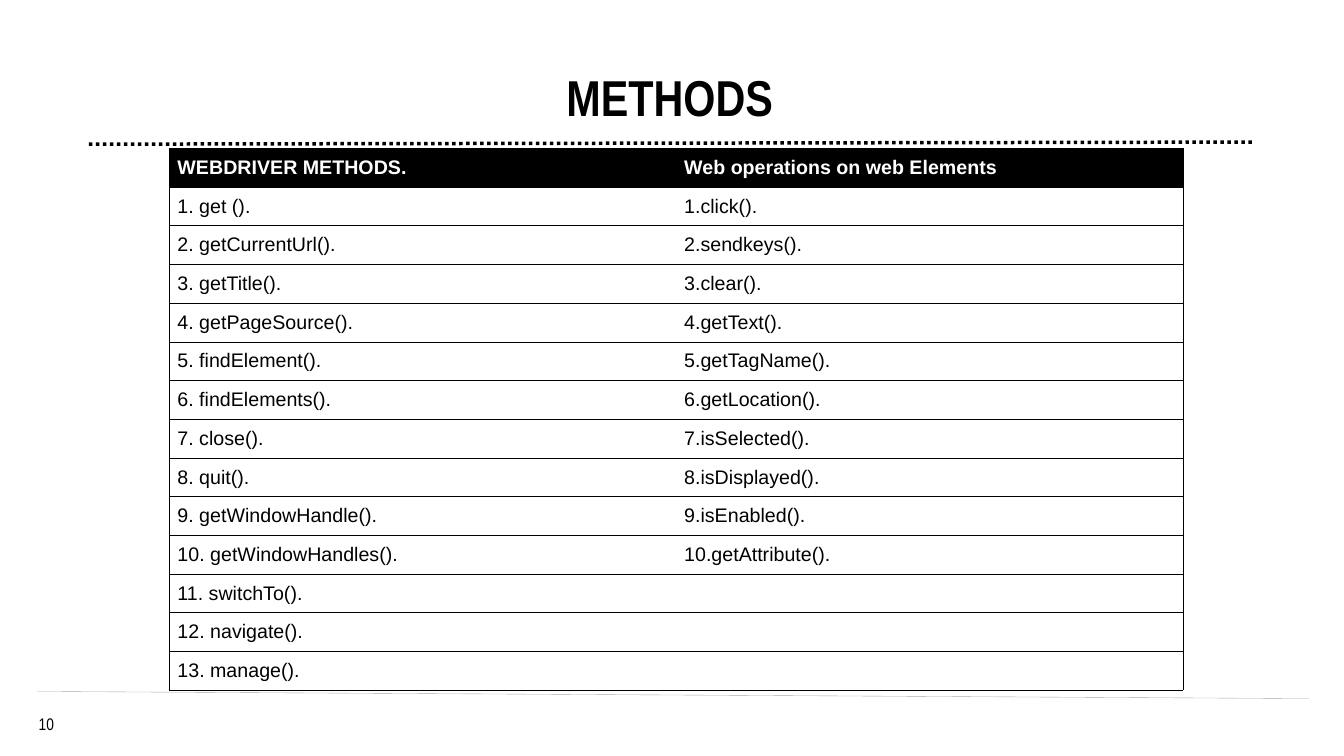
import itertools

import lxml.etree
import pptx
import pptx.dml.color
import pptx.enum.dml
import pptx.enum.shapes
import pptx.enum.text
import pptx.oxml.ns
import pptx.util

Pt = pptx.util.Pt
qn = pptx.oxml.ns.qn
ALIGN = pptx.enum.text.PP_ALIGN
ANCHOR = pptx.enum.text.MSO_ANCHOR
DASH = pptx.enum.dml.MSO_LINE
BLACK = pptx.dml.color.RGBColor(0, 0, 0)
WHITE = pptx.dml.color.RGBColor(255, 255, 255)
GRAY = pptx.dml.color.RGBColor(0xA6, 0xAA, 0xA9)

DRIVER_METHODS = [
    "get ()", "getCurrentUrl()", "getTitle()", "getPageSource()", "findElement()",
    "findElements()", "close()", "quit()", "getWindowHandle()", "getWindowHandles()",
    "switchTo()", "navigate()", "manage()",
]
ELEMENT_METHODS = [
    "click()", "sendkeys()", "clear()", "getText()", "getTagName()", "getLocation()",
    "isSelected()", "isDisplayed()", "isEnabled()", "getAttribute()",
]


def write(frame, text, *, size, font="Arial", color=BLACK, bold=False,
          align=ALIGN.LEFT, spacing=None):
    para = frame.paragraphs[0]
    para.alignment = align
    para.line_spacing = spacing
    span = para.add_run()
    span.text = text
    span.font.size = Pt(size)
    span.font.name = font
    span.font.bold = bold
    span.font.color.rgb = color


def set_border(cell, side, visible):
    """Draw one cell side (L, R, T or B) as a thin black line, or leave it bare."""
    properties = cell._tc.get_or_add_tcPr()
    line = lxml.etree.SubElement(properties, qn(f"a:ln{side}"), w=str(Pt(0.5)))
    if visible:
        fill = lxml.etree.SubElement(line, qn("a:solidFill"))
        lxml.etree.SubElement(fill, qn("a:srgbClr"), val=str(BLACK))
    else:
        lxml.etree.SubElement(line, qn("a:noFill"))


deck = pptx.Presentation()
deck.slide_width, deck.slide_height = Pt(960), Pt(540)
page = deck.slides.add_slide(deck.slide_layouts[6])

# Rules under the title and above the footer
rules = [
    ((26.6, 493.9, 934.6, 499), GRAY, 0.25, DASH.SOLID),
    ((894.2, 101.5, 63.4, 103), BLACK, 2.5, DASH.ROUND_DOT),
]
for ends, color, width, dash in rules:
    rule = page.shapes.add_connector(
        pptx.enum.shapes.MSO_CONNECTOR.STRAIGHT, *map(Pt, ends))
    rule.line.color.rgb = color
    rule.line.width = Pt(width)
    rule.line.dash_style = dash
    lxml.etree.SubElement(rule._element.spPr, qn("a:effectLst"))

# Title and page number
labels = [
    ((95, 12.2, 774, 80.6), (0, 3.6, 7.2, 3.6), ANCHOR.BOTTOM, "METHODS",
     dict(size=36, bold=True, spacing=0.7)),
    ((15.8, 509.8, 34.6, 14.4), (0, 0, 0, 0), ANCHOR.TOP, "10", dict(size=12)),
]
for place, margins, anchor, text, style in labels:
    frame = page.shapes.add_textbox(*map(Pt, place)).text_frame
    frame.word_wrap = True
    frame.vertical_anchor = anchor
    (frame.margin_left, frame.margin_top,
     frame.margin_right, frame.margin_bottom) = map(Pt, margins)
    write(frame, text, font="Arial Narrow", align=ALIGN.CENTER, **style)

# Table of methods
rows = [("WEBDRIVER METHODS.", "Web operations on web Elements")]
pairs = itertools.zip_longest(DRIVER_METHODS, ELEMENT_METHODS)
for number, (driver, element) in enumerate(pairs, 1):
    rows.append((f"{number}. {driver}.", f"{number}.{element}." if element else ""))

ROW_HEIGHT = 27.65
table = page.shapes.add_table(
    len(rows), 2, Pt(121), Pt(106), Pt(724), Pt(ROW_HEIGHT * len(rows))).table
table.horz_banding = False
for r, texts in enumerate(rows):
    table.rows[r].height = Pt(ROW_HEIGHT)
    header = r == 0
    for c, text in enumerate(texts):
        cell = table.cell(r, c)
        for side, visible in zip("LRTB", (c == 0, c == 1, True, True)):
            set_border(cell, side, visible)
        cell.fill.solid()
        cell.fill.fore_color.rgb = BLACK if header else WHITE
        cell.margin_left = cell.margin_right = Pt(5.76)
        cell.margin_top = cell.margin_bottom = Pt(3)
        cell.vertical_anchor = ANCHOR.MIDDLE
        if text:
            write(cell.text_frame, text, size=14, bold=header,
                  color=WHITE if header else BLACK)

deck.save("out.pptx")
